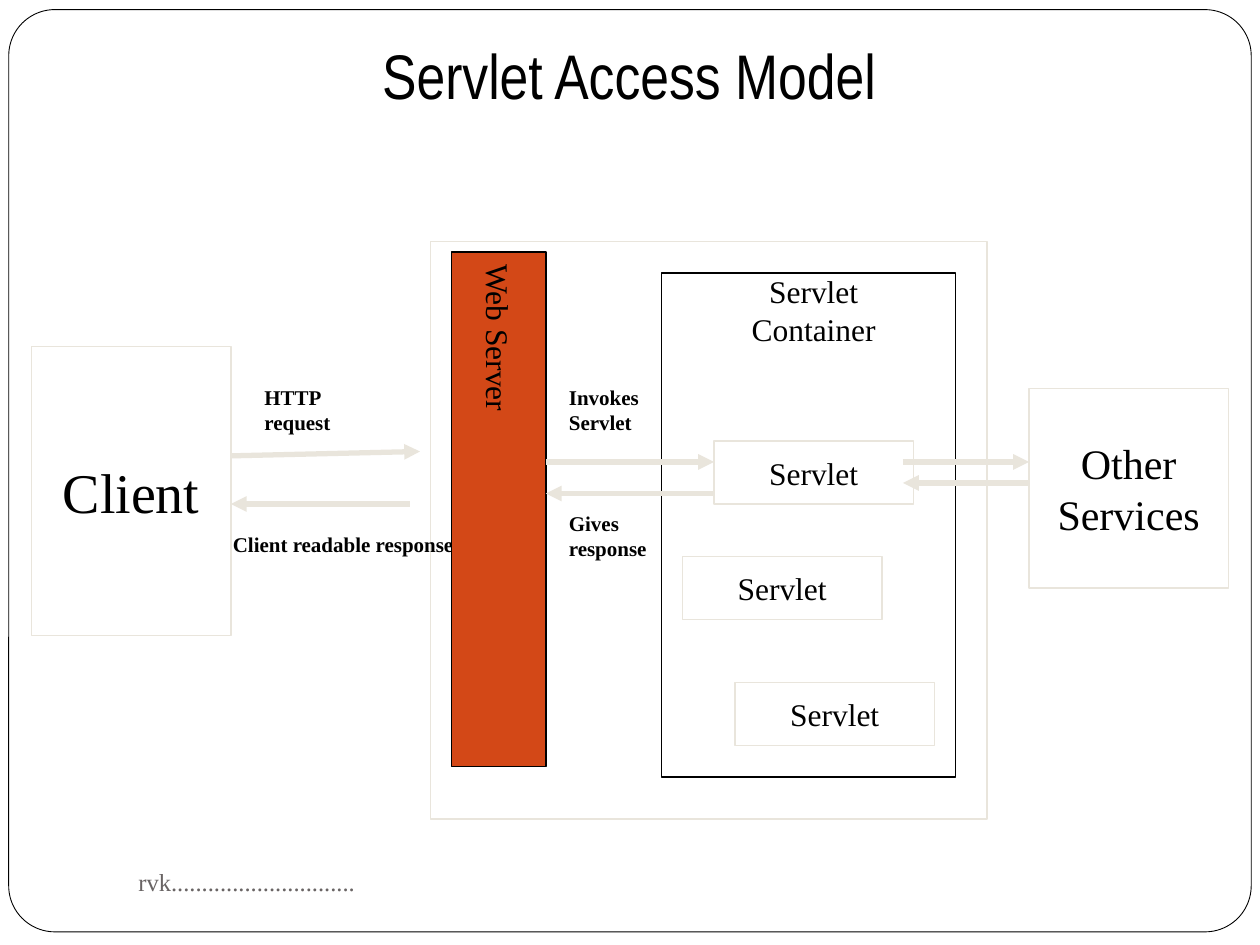
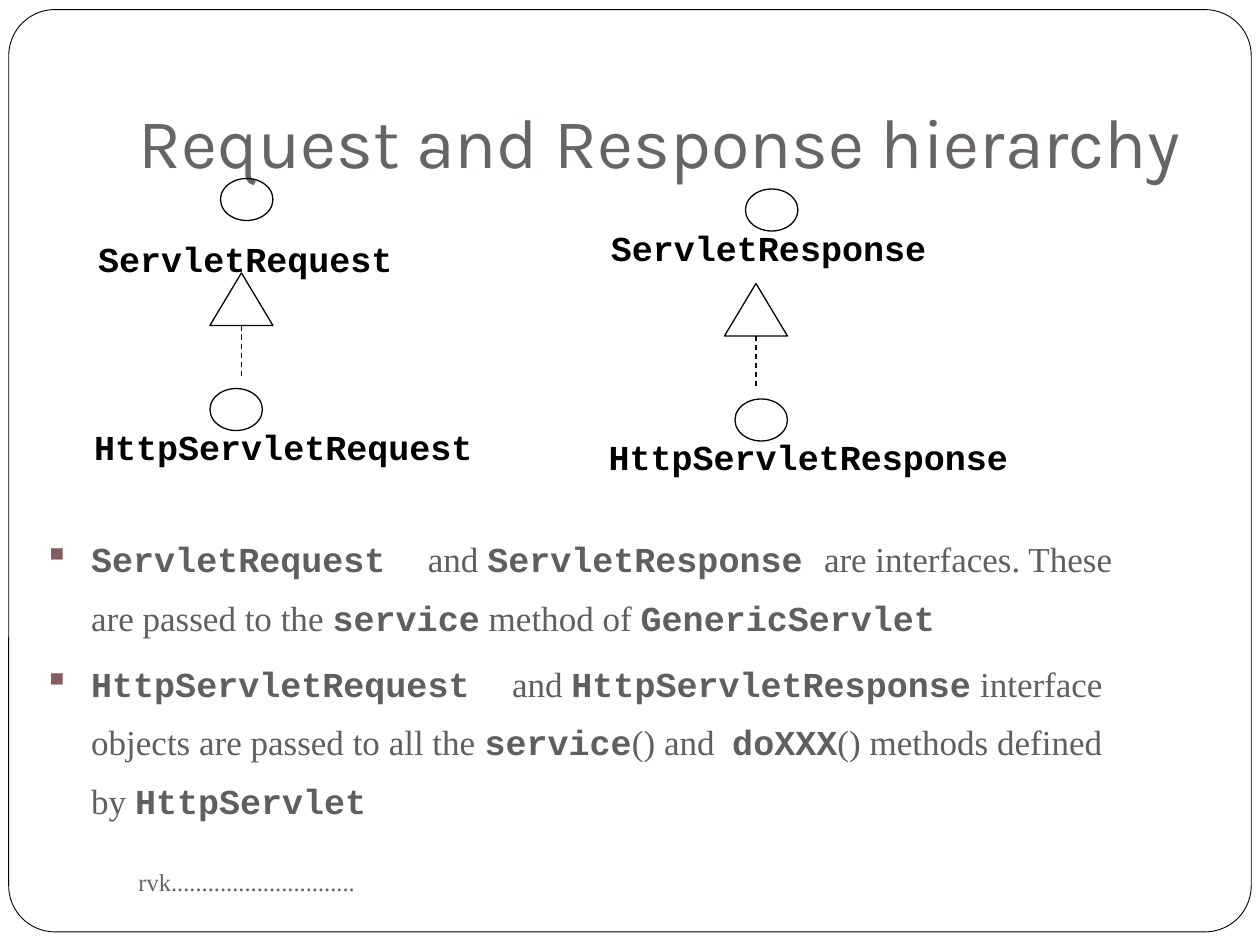
"""Build two slides on the servlet access model and the request/response hierarchy."""
from lxml import etree
from pptx import Presentation
from pptx.dml.color import RGBColor
from pptx.enum import dml, shapes, text
from pptx.oxml.ns import qn
from pptx.util import Pt

BLACK, WHITE, SAND, GRAY = "000000", "FFFFFF", "E9E5DC", "696464"
ORANGE, BODY, BULLET, DASH = "D34817", "5F5F5F", "855D5D", "0D0D0D"
SERIF, MONO = "Times New Roman", "Courier New"
RECT = shapes.MSO_SHAPE.RECTANGLE
OVAL = shapes.MSO_SHAPE.OVAL
TRIANGLE = shapes.MSO_SHAPE.ISOSCELES_TRIANGLE
TOP, MIDDLE, BOTTOM = text.MSO_ANCHOR.TOP, text.MSO_ANCHOR.MIDDLE, text.MSO_ANCHOR.BOTTOM
LEFT, CENTER = text.PP_ALIGN.LEFT, text.PP_ALIGN.CENTER


def paint(fill, color):
    """Fill with a hex colour, or clear the fill when there is none."""
    if color:
        fill.solid()
        fill.fore_color.rgb = RGBColor.from_string(color)
    else:
        fill.background()


def add_box(page, kind, place, words="", size=18, name=SERIF, bold=False, color=BLACK,
            fill=None, line=None, anchor=MIDDLE, align=CENTER, wrap=False):
    """Add a preset shape, or a text box when kind is None."""
    place = [Pt(length) for length in place]
    if kind is None:
        box = page.shapes.add_textbox(*place)
    else:
        box = page.shapes.add_shape(kind, *place)
        box.shadow.inherit = False
        paint(box.fill, fill)
        paint(box.line.fill, line)
        box.line.width = Pt(0.75)
    frame = box.text_frame
    frame.text = words
    frame.word_wrap = wrap
    frame.vertical_anchor = anchor
    for para in frame.paragraphs:
        para.alignment = align
        for attribute, value in {"size": Pt(size), "name": name, "bold": bold}.items():
            setattr(para.font, attribute, value)
            for span in para.runs:
                setattr(span.font, attribute, value)
        for span in para.runs:
            paint(span.font.fill, color)
    return box


deck = Presentation()
deck.slide_width, deck.slide_height = Pt(720), Pt(540)
layout = deck.slide_layouts[5]
access = deck.slides.add_slide(layout)
hierarchy = deck.slides.add_slide(layout)

border = add_box(access, shapes.MSO_SHAPE.ROUNDED_RECTANGLE, (5, 5.5, 710, 527),
                 fill=WHITE, line=BLACK)
border.adjustments[0] = 0.05
border.line.width = Pt(0.5)
layout.shapes.element.append(border.element)

titles = [
    (access, "Servlet Access Model", (27, 21.5, 665, 47), MIDDLE, CENTER, 0.9, 3.6,
     {"size": Pt(36), "name": "Arial Narrow"}, BLACK),
    (hierarchy, "Request and Response hierarchy", (72, 21.5, 612, 90), BOTTOM, LEFT, 1.0, 7.2,
     {"size": Pt(40), "name": "Karla"}, GRAY),
]
for page, words, place, anchor, align, spacing, bottom, look, color in titles:
    title = page.shapes.title
    title.left, title.top, title.width, title.height = [Pt(length) for length in place]
    frame = title.text_frame
    frame.text = words
    frame.auto_size = text.MSO_AUTO_SIZE.NONE
    frame.vertical_anchor = anchor
    frame.margin_bottom = Pt(bottom)
    para = frame.paragraphs[0]
    para.alignment, para.line_spacing = align, spacing
    for attribute, value in look.items():
        setattr(para.runs[0].font, attribute, value)
    paint(para.runs[0].font.fill, color)
    add_box(page, None, (72, 486, 312, 36), "rvk..............................",
            size=14, color=GRAY, align=LEFT, wrap=True)

add_box(access, RECT, (18, 198, 114, 165), "Client", size=32, line=SAND)
add_box(access, RECT, (246, 138, 318, 330), line=SAND)
for words, place in [("HTTP request", (144, 216, 84, 36)),
                     ("Client readable response", (126, 300, 150, 36)),
                     ("Invokes Servlet", (318, 216, 84, 36)),
                     ("Gives response", (318, 288, 84, 36))]:
    add_box(access, None, place, words, size=12, bold=True, anchor=TOP, align=LEFT, wrap=True)
server = add_box(access, RECT, (258, 144, 54, 294), "Web Server", fill=ORANGE, line=BLACK)
server.element.txBody.bodyPr.set("vert", "eaVert")
add_box(access, RECT, (378, 156, 168, 288), line=BLACK)
add_box(access, None, (396, 162, 138, 30), "Servlet Container")
add_box(access, RECT, (588, 222, 114, 114), "Other\nServices", size=24, line=SAND)
for left, top in [(408, 252), (390, 318), (420, 390)]:
    add_box(access, RECT, (left, top, 114, 36), "Servlet", line=SAND)

for place in [(126, 102), (120, 222), (426, 108), (420, 228)]:
    add_box(hierarchy, OVAL, (*place, 30, 24), line=BLACK)
for place in [(120, 156), (414, 162)]:
    add_box(hierarchy, TRIANGLE, (*place, 36, 30), line=BLACK)
for words, place, anchor, align in [
        ("ServletRequest", (49, 132, 184, 31.5), TOP, LEFT),
        ("ServletResponse", (342, 126, 197, 31.5), TOP, LEFT),
        ("HttpServletRequest", (30, 240, 264, 30), MIDDLE, CENTER),
        ("HttpServletResponse", (330, 246, 264, 30), MIDDLE, CENTER)]:
    add_box(hierarchy, None, place, words, size=20, name=MONO, bold=True,
            anchor=anchor, align=align)

arrows = [(132.5, 260.5, 240, 258), (312, 264, 408, 264), (408, 282, 312, 282),
          (234, 288, 132, 288), (516, 264, 588, 264), (588, 276, 516, 276)]
dashes = [(138, 186, 138, 216), (432, 192, 432, 222)]
for page, ends, color, width in [(access, arrows, SAND, 3), (hierarchy, dashes, DASH, 0.75)]:
    for points in ends:
        link = page.shapes.add_connector(shapes.MSO_CONNECTOR.STRAIGHT,
                                         *[Pt(length) for length in points])
        paint(link.line.fill, color)
        link.line.width = Pt(width)
        outline = link.element.spPr.get_or_add_ln()
        if page is access:
            etree.SubElement(outline, qn("a:tailEnd"), type="triangle")
        else:
            link.line.dash_style = dml.MSO_LINE.DASH
        etree.SubElement(link.element.spPr, qn("a:effectLst"))

points = [
    [("ServletRequest  ", MONO), ("and ", SERIF), ("ServletResponse ", MONO),
     ("are interfaces. These are passed to the ", SERIF), ("service", MONO),
     (" method of ", SERIF), ("GenericServlet", MONO)],
    [("HttpServletRequest  ", MONO), ("and ", SERIF), ("HttpServletResponse", MONO),
     (" interface objects are passed to all the ", SERIF), ("service", MONO),
     ("() and  ", SERIF), ("doXXX", MONO), ("() methods defined by ", SERIF),
     ("HttpServlet", MONO)],
]
notes = add_box(hierarchy, None, (18, 294, 636, 210), anchor=TOP, align=LEFT, wrap=True)
frame = notes.text_frame
for number, pieces in enumerate(points):
    para = frame.add_paragraph() if number else frame.paragraphs[0]
    para.line_spacing, para.space_before = 1.4, Pt(4)
    for words, name in pieces:
        span = para.add_run()
        span.text = words
        for attribute, value in {"size": Pt(20), "name": name, "bold": name == MONO}.items():
            setattr(span.font, attribute, value)
        paint(span.font.fill, BODY)
    properties = para.runs[0].font._element.getparent().getparent().get_or_add_pPr()
    properties.set("marL", str(Pt(27)))
    properties.set("indent", str(-Pt(27)))
    bullet_color = etree.Element(qn("a:buClr"))
    etree.SubElement(bullet_color, qn("a:srgbClr"), val=BULLET)
    bullet = etree.Element(qn("a:buChar"), char="▪")
    for tag in (qn("a:defRPr"),):
        for default in properties.findall(tag):
            properties.remove(default)
    properties.extend([bullet_color, bullet])

deck.save("out.pptx")
